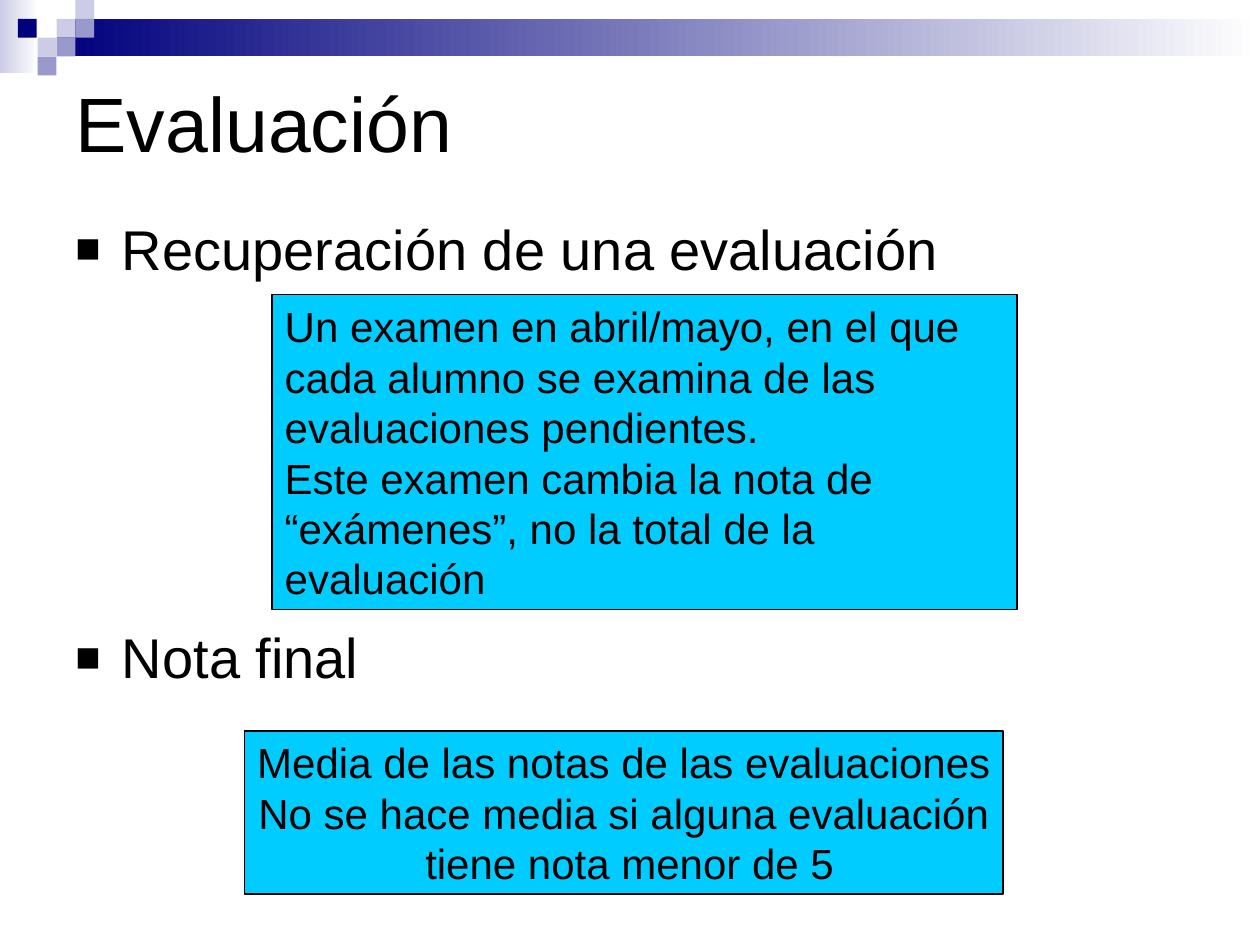
from lxml import etree
from pptx import Presentation
from pptx import util as u
from pptx.dml.color import RGBColor
from pptx.enum import shapes, text
from pptx.oxml.ns import qn

BLACK = RGBColor(0x00, 0x00, 0x00)
WHITE = RGBColor(0xFF, 0xFF, 0xFF)
NAVY = RGBColor(0x00, 0x00, 0x7D)
LAVENDER = RGBColor(0x99, 0x99, 0xCC)
PALE = RGBColor(0xCC, 0xCC, 0xE6)
CYAN = RGBColor(0x00, 0xCC, 0xFF)
FONT = "Arial"
TILE = 0.38  # side of one header square, cm


def style(para, size):
    para.font.name = FONT
    para.font.size = u.Pt(size)
    para.font.color.rgb = BLACK


def add_rect(page, left, top, width, height):
    rect = page.shapes.add_shape(shapes.MSO_SHAPE.RECTANGLE, u.Cm(left),
                                 u.Cm(top), u.Cm(width), u.Cm(height))
    rect.shadow.inherit = False
    rect.line.fill.background()
    return rect


def add_fading_bar(page, left, top, width, height, color):
    fill = add_rect(page, left, top, width, height).fill
    fill.gradient()
    fill.gradient_angle = 0
    for stop, shade in zip(fill.gradient_stops, (color, WHITE)):
        stop.color.rgb = shade


def add_header(page, left, top, width):
    # Fading bars
    add_fading_bar(page, left, top, 0.79, 1.47, PALE)
    bar_left = 3 * TILE
    add_fading_bar(page, left + bar_left, top + TILE, width - bar_left,
                   2 * TILE, NAVY)
    # Squares by column and row
    tiles = [(3, 1, PALE), (4, 0, PALE), (4, 1, LAVENDER), (2, 2, PALE),
             (0.95, 1, NAVY), (3, 2, LAVENDER), (2, 3, LAVENDER)]
    for column, row, color in tiles:
        tile = add_rect(page, left + column * TILE, top + row * TILE,
                        TILE, TILE)
        tile.fill.solid()
        tile.fill.fore_color.rgb = color


def set_title(page, left, top, width, height, wording):
    title = page.shapes.title
    title.left, title.top = u.Cm(left), u.Cm(top)
    title.width, title.height = u.Cm(width), u.Cm(height)
    frame = title.text_frame
    frame.text = wording
    frame.vertical_anchor = text.MSO_ANCHOR.MIDDLE
    para = frame.paragraphs[0]
    para.alignment = text.PP_ALIGN.LEFT
    style(para, 44)


def add_bullet(para):
    props = para._p.get_or_add_pPr()
    props.set("marL", str(u.Cm(0.94)))
    props.set("indent", str(-u.Cm(0.94)))
    color = etree.SubElement(props, qn("a:buClr"))
    etree.SubElement(color, qn("a:srgbClr"), val=str(BLACK))
    etree.SubElement(props, qn("a:buSzPct"), val="75000")
    etree.SubElement(props, qn("a:buFont"), typeface=FONT)
    etree.SubElement(props, qn("a:buChar"), char="■")


def add_topics(page, left, top, width, height, topics, gap):
    box = page.shapes.add_textbox(u.Cm(left), u.Cm(top), u.Cm(width),
                                  u.Cm(height))
    frame = box.text_frame
    frame.word_wrap = True
    frame.text = "\n".join(topics)
    for index, para in enumerate(frame.paragraphs):
        add_bullet(para)
        if index:
            para.space_before = u.Pt(gap)
        style(para, 32)


def add_note(page, left, top, width, height, lines, alignment, wrap):
    note = add_rect(page, left, top, width, height)
    note.fill.solid()
    note.fill.fore_color.rgb = CYAN
    note.line.color.rgb = BLACK
    note.line.width = u.Pt(1)
    frame = note.text_frame
    frame.word_wrap = wrap
    frame.vertical_anchor = text.MSO_ANCHOR.MIDDLE
    frame.text = "\n".join(lines)
    for para in frame.paragraphs:
        para.alignment = alignment
        style(para, 24)


def main():
    deck = Presentation()
    deck.slide_width, deck.slide_height = u.Cm(25.4), u.Cm(19.05)
    page = deck.slides.add_slide(deck.slide_layouts[5])

    add_header(page, 0, 0, 25.4)
    set_title(page, 1.27, 1.19, 22.86, 2.54, "Evaluación")
    add_topics(page, 1.27, 4.2, 22.86, 13.13,
               ["Recuperación de una evaluación", "Nota final"], 195)
    # Final mark
    add_note(page, 4.93, 14.73, 15.29, 3.3,
             ["Media de las notas de las evaluaciones",
              "No se hace media si alguna evaluación",
              " tiene nota menor de 5"], text.PP_ALIGN.CENTER, False)
    # Retake exam
    add_note(page, 5.49, 5.94, 15.01, 6.35,
             ["Un examen en abril/mayo, en el que cada alumno se examina "
              "de las evaluaciones pendientes.",
              "Este examen cambia la nota de “exámenes”, no la total de "
              "la evaluación"], text.PP_ALIGN.LEFT, True)
    deck.save("out.pptx")


if __name__ == "__main__":
    main()
